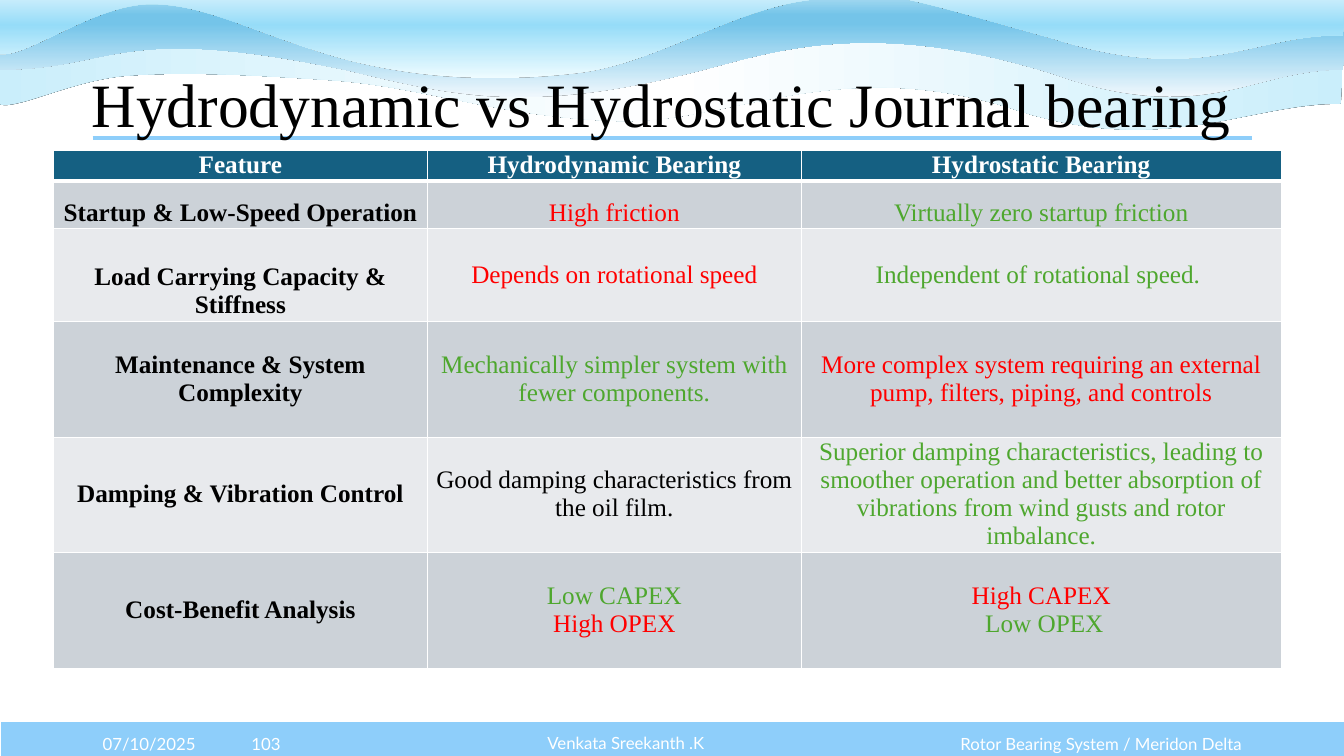
import pptx
import pptx.util
import pptx.oxml
import pptx.oxml.ns
import pptx.dml.color
import pptx.enum.shapes
import pptx.enum.text

THEME = {
    "serif": "Times New Roman", "sans": "Lato",
    "title": 44, "table": 18, "footer": 12,
    "black": "000000", "white": "FFFFFF", "sky": "8ECEFA", "header": "156082",
    "bands": ("CCD2D8", "E8EAED"), "good": "4EA72E", "bad": "FF0000",
    "back wave": ((0, "CAEEFB"), (50, "FFFFFF"), (100, "CAEEFB")),
    "middle wave": ((0, "F0F8FD"), (74, "74C4E9"), (83, "74C4E9"), (100, "A2D8F0")),
    "front wave": ((0, "EFFCFF"), (50, "96DCF8"), (100, "FFFFFF")),
}
COLOR = pptx.dml.color.RGBColor.from_string
ALIGN = pptx.enum.text.PP_ALIGN
ANCHOR = pptx.enum.text.MSO_ANCHOR
NS = pptx.oxml.ns.nsdecls("a")

deck = pptx.Presentation()
deck.slide_width = pptx.util.Inches(13.333)
deck.slide_height = pptx.util.Inches(7.5)
page = deck.slides.add_slide(deck.slide_layouts[6])
cell = deck.slide_height / 7.5  # side of one square of the page grid


def grid(*lengths):
    return [round(length * cell) for length in lengths]


def write(frame, lines, font, size, align, bold=False, spacing=None):
    frame.word_wrap = True
    for number, (text, color) in enumerate(lines):
        para = frame.add_paragraph() if number else frame.paragraphs[0]
        para.alignment = align
        para.line_spacing = spacing
        span = para.add_run()
        span.text = text
        span.font.name = font
        span.font.size = pptx.util.Pt(size)
        span.font.bold = bold
        span.font.color.rgb = COLOR(color)


# Footer bar
bar = page.shapes.add_shape(pptx.enum.shapes.MSO_SHAPE.RECTANGLE, *grid(0, 7.15, 13.35, 0.4))
bar.shadow.inherit = False
bar.fill.solid()
bar.fill.fore_color.rgb = COLOR(THEME["sky"])
bar.line.color.rgb = COLOR(THEME["white"])
bar.line.width = pptx.util.Pt(1.5)

# Waves: gradient, angle, lift of the second layer, frame, start, Bezier curves, top edge
WAVES = [
    ("back wave", 0, 0, (-0.04, 0.3, 13.36, 0.98), (13.3, 1.03),
     [(12.37, 1.02, 11.52, 1.59, 9.99, 1.06), (8.27, 0.54, 7.21, 1.24, 6.1, 1.2),
      (4.99, 1.16, 4.21, 0.87, 3.35, 0.8), (2.49, 0.74, 1.83, 0.71, 1.27, 0.75),
      (0.71, 0.79, 0.14, 1.11, -0.02, 1.03), (-0.02, 0.8, -0.04, 0.53, -0.04, 0.3)],
     [(3.13, 0.31), (6.52, 0.34), (9.41, 0.32), (13.32, 0.34)],
     (13.32, 0.55, 13.32, 0.8, 13.3, 1.03)),
    ("middle wave", 90, 0, (0, -0.02, 13.33, 0.98), (13.32, 0.69),
     [(12.39, 0.69, 11.96, 1.27, 10.44, 0.73), (8.71, 0.19, 7.73, 0.49, 7.06, 0.67),
      (5.28, 1.14, 4.59, 0.97, 3.46, 0.7), (1.13, 0.21, 1.15, 0.69, 0, 0.69),
      (0, 0.46, 0.01, 0.23, 0.01, -0.01)],
     [(3.13, 0), (6.54, -0.02), (9.46, -0.01), (13.33, 0.03)],
     (13.33, 0.25, 13.34, 0.46, 13.32, 0.69)),
    ("front wave", 90, -0.02, (-0.03, -0.26, 13.36, 1.06), (13.32, 0.37),
     [(12.39, 0.36, 11.96, 0.88, 10.44, 0.4), (8.72, -0.08, 8.91, -0.05, 8.13, 0.01),
      (7.35, 0.06, 6.53, 0.64, 5.76, 0.74), (4.98, 0.84, 4.24, 0.81, 3.47, 0.62),
      (2.58, 0.38, 2.07, 0.06, 1.5, 0.06), (0.92, 0.06, 0.22, 0.63, -0.03, 0.55),
      (-0.02, 0.34, 0.01, -0.04, 0.01, -0.25)],
     [(3.13, -0.24), (6.54, -0.26), (9.46, -0.25), (13.33, -0.22)],
     (13.33, -0.03, 13.34, 0.16, 13.32, 0.37)),
]
for layer in range(2):
    for name, angle, lift, (left, top, width, height), start, curves, edge, closing in WAVES:
        shift = layer * lift
        x0, y0, x1, y1 = grid(left, top + shift, left + width, top + height + shift)
        outline = page.shapes.build_freeform(x0, y0)
        outline.add_line_segments([(x1, y0), (x1, y1), (x0, y1)], close=True)
        wave = outline.convert_to_shape()
        wave.rotation = 180
        wave.line.fill.background()
        wave.shadow.inherit = False

        # The outline is stored upside down, since the shape is turned by half
        steps = [("moveTo", start)] + [("cubicBezTo", curve) for curve in curves]
        steps += [("lnTo", point) for point in edge] + [("cubicBezTo", closing)]
        drawing = ""
        for command, numbers in steps:
            drawing += f"<a:{command}>"
            for x, y in zip(numbers[::2], numbers[1::2]):
                across, down = grid(left + width - x, top + height - y)
                drawing += f'<a:pt x="{across}" y="{down}"/>'
            drawing += f"</a:{command}>"
        props = wave._element.spPr
        contours = props.find(".//" + pptx.oxml.ns.qn("a:pathLst"))
        contours.remove(contours[0])
        contours.append(pptx.oxml.parse_xml(
            f'<a:path {NS} w="{x1 - x0}" h="{y1 - y0}">{drawing}<a:close/></a:path>'))

        stops = "".join(f'<a:gs pos="{place * 1000}"><a:srgbClr val="{color}"/></a:gs>'
                        for place, color in THEME[name])
        props.find(pptx.oxml.ns.qn("a:ln")).addprevious(pptx.oxml.parse_xml(
            f'<a:gradFill {NS} rotWithShape="1"><a:gsLst>{stops}</a:gsLst>'
            f'<a:lin ang="{angle * 60000}" scaled="0"/></a:gradFill>'))
        props.find(pptx.oxml.ns.qn("a:effectLst")).append(pptx.oxml.parse_xml(
            f'<a:outerShdw {NS} blurRad="0" dist="0" dir="0">'
            f'<a:srgbClr val="{THEME["black"]}"/></a:outerShdw>'))

# Rule under the title
rule = page.shapes.add_connector(pptx.enum.shapes.MSO_CONNECTOR.STRAIGHT,
                                 *grid(0.92, 1.37, 12.42, 1.37))
rule.line.color.rgb = COLOR(THEME["sky"])
rule.line.width = pptx.util.Pt(3)
rule._element.spPr.append(pptx.oxml.parse_xml(f"<a:effectLst {NS}/>"))

# Title and footer texts
TEXTS = [
    ("Hydrodynamic vs Hydrostatic Journal bearing", (0.81, 0.34, 12.18, 1.45),
     "serif", "title", "black", ALIGN.LEFT, 0.9),
    ("07/10/2025", (0.92, 7.18, 1.22, 0.4), "sans", "footer", "white", ALIGN.LEFT, None),
    ("Rotor Bearing System / Meridon Delta", (9.27, 7.18, 3.15, 0.4),
     "sans", "footer", "white", ALIGN.RIGHT, None),
    ("103", (2.13, 7.18, 1.02, 0.4), "sans", "footer", "white", ALIGN.CENTER, None),
    ("Venkata Sreekanth .K", (3.15, 7.18, 6.12, 0.4),
     "sans", "footer", "white", ALIGN.CENTER, 0.9),
]
for text, place, font, size, color, align, spacing in TEXTS:
    box = page.shapes.add_textbox(*grid(*place))
    box.text_frame.vertical_anchor = ANCHOR.MIDDLE
    write(box.text_frame, [(text, THEME[color])], THEME[font], THEME[size], align,
          spacing=spacing)

# Comparison table: each cell holds lines of (text, colour)
COLUMNS = (3.71, 3.71, 4.76)
ROWS = (0.25, 0.47, 0.92, 1.15, 0.92, 1.15)
CONTENT = [
    [[("Feature", "white")], [("Hydrodynamic Bearing", "white")],
     [("Hydrostatic Bearing", "white")]],
    [[("Startup & Low-Speed Operation", "black")], [("High friction", "bad")],
     [("Virtually zero startup friction", "good")]],
    [[("Load Carrying Capacity & Stiffness", "black")], [("Depends on rotational speed", "bad")],
     [("Independent of rotational speed. ", "good")]],
    [[("Maintenance & System Complexity", "black")],
     [("Mechanically simpler system with fewer components.", "good")],
     [("More complex system requiring an external pump, filters, piping, and controls", "bad")]],
    [[("Damping & Vibration Control", "black")],
     [("Good damping characteristics from the oil film.", "black")],
     [("Superior damping characteristics, leading to smoother operation and better "
       "absorption of vibrations from wind gusts and rotor imbalance.", "good")]],
    [[("Cost-Benefit Analysis", "black")], [("Low CAPEX", "good"), ("High OPEX", "bad")],
     [("High CAPEX", "bad"), (" Low OPEX", "good")]],
]
holder = page.shapes.add_table(len(ROWS), len(COLUMNS), *grid(0.53, 1.49, sum(COLUMNS), 5.25))
table = holder.table
table.horz_banding = False
for column, width in zip(table.columns, grid(*COLUMNS)):
    column.width = width
for row, height in zip(table.rows, grid(*ROWS)):
    row.height = height
holder.height = grid(5.25)[0]
for r, row_content in enumerate(CONTENT):
    for c, lines in enumerate(row_content):
        field = table.cell(r, c)
        side = 0 if r and c == 2 else 0.03
        field.margin_left, field.margin_right = grid(side, side)
        field.margin_top, field.margin_bottom = grid(0.01, 0.02)
        at_bottom = r < 2 or (r == 2 and c == 0)
        field.vertical_anchor = ANCHOR.BOTTOM if at_bottom else ANCHOR.MIDDLE
        field.fill.solid()
        field.fill.fore_color.rgb = COLOR(THEME["bands"][(r - 1) % 2] if r else THEME["header"])
        write(field.text_frame, [(text, THEME[color]) for text, color in lines],
              THEME["serif"], THEME["table"], ALIGN.CENTER, bold=r == 0 or c == 0,
              spacing=pptx.util.Pt(20))
        for order, side_name in enumerate("LRTB"):
            weight = pptx.util.Pt(3 if r == 0 and side_name == "B" else 1)
            field._tc.get_or_add_tcPr().insert(order, pptx.oxml.parse_xml(
                f'<a:ln{side_name} {NS} w="{weight}"><a:solidFill>'
                f'<a:srgbClr val="{THEME["white"]}"/></a:solidFill></a:ln{side_name}>'))

deck.save("out.pptx")
